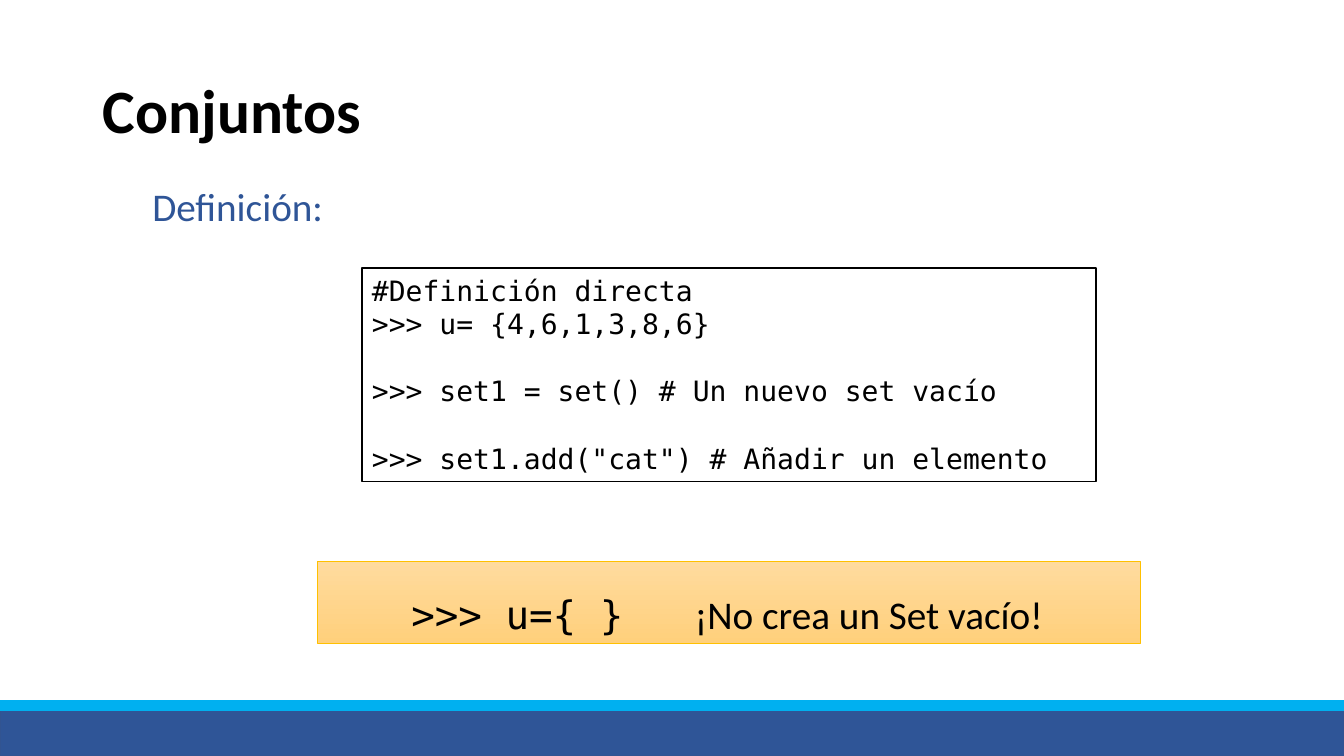
from lxml import etree
from pptx import Presentation
from pptx import util as u
from pptx.dml import color
from pptx.enum import shapes, text
from pptx.oxml import ns

BODY_FONT, CODE_FONT = "Calibri", "DejaVu Sans Mono"
BLACK, WHITE, BLUE, CYAN = "000000", "FFFFFF", "2F5597", "00B0F0"


def rgb(hex_code):
    return color.RGBColor.from_string(hex_code)


def write(paragraph, content, size=20, font=BODY_FONT, ink=BLACK, bold=False):
    """Add one formatted run to a paragraph."""
    run = paragraph.add_run()
    run.text = content
    run.font.size, run.font.name, run.font.bold = u.Pt(size), font, bold
    run.font.color.rgb = rgb(ink)


class SlideBuilder:
    def __init__(self, slide):
        self.slide = slide

    def place(self, shape, box):
        shape.left, shape.top, shape.width, shape.height = map(u.Inches, box)

    def title(self, content, box):
        title = self.slide.shapes.title
        self.place(title, box)
        title.text_frame.vertical_anchor = text.MSO_ANCHOR.MIDDLE
        title.text_frame.auto_size = text.MSO_AUTO_SIZE.NONE
        heading = title.text_frame.paragraphs[0]
        heading.alignment = text.PP_ALIGN.LEFT
        heading.line_spacing = 0.9
        write(heading, content, size=44, bold=True)

    def body(self, content, box):
        body = self.slide.placeholders[1]
        self.place(body, box)
        body.text_frame.auto_size = text.MSO_AUTO_SIZE.NONE
        subtitle = body.text_frame.paragraphs[0]
        properties = subtitle._p.get_or_add_pPr()
        properties.set("marL", str(u.Inches(0.09)))
        properties.set("indent", "0")
        etree.SubElement(properties, ns.qn("a:buNone"))
        subtitle.line_spacing = 0.9
        subtitle.space_before = u.Pt(0)
        write(subtitle, content, size=28, ink=BLUE)

    def rectangle(self, box, fill, line, weight=1.0):
        """Draw a rectangle; a pair of fill colours makes a vertical gradient."""
        rect = self.slide.shapes.add_shape(
            shapes.MSO_SHAPE.RECTANGLE, *map(u.Inches, box))
        rect.shadow.inherit = False
        if isinstance(fill, str):
            rect.fill.solid()
            rect.fill.fore_color.rgb = rgb(fill)
        else:
            rect.fill.gradient()
            rect.fill.gradient_angle = 270
            for stop, shade in zip(rect.fill.gradient_stops, fill):
                stop.color.rgb = rgb(shade)
        rect.line.color.rgb = rgb(line)
        rect.line.width = u.Pt(weight)
        return rect

    def frame(self, rect):
        frame = rect.text_frame
        frame.word_wrap = True
        frame.auto_size = text.MSO_AUTO_SIZE.SHAPE_TO_FIT_TEXT
        frame.vertical_anchor = text.MSO_ANCHOR.TOP
        frame.paragraphs[0].alignment = text.PP_ALIGN.LEFT
        return frame

    def code(self, blocks, box):
        """Blocks of code lines, set one line apart."""
        frame = self.frame(self.rectangle(box, WHITE, BLACK))
        paragraph = frame.paragraphs[0]
        for block_number, block in enumerate(blocks):
            for line_number, line in enumerate(block):
                if block_number or line_number:
                    paragraph = frame.add_paragraph()
                    paragraph.alignment = text.PP_ALIGN.LEFT
                    paragraph.space_before = u.Pt(0 if line_number else 24)
                write(paragraph, line, font=CODE_FONT)

    def warning(self, statement, remark, box):
        frame = self.frame(self.rectangle(box, ("FFDB9E", "FFD07C"), "FFC000", 0.5))
        frame.margin_left = u.Inches(0.93)
        paragraph = frame.paragraphs[0]
        tabs = etree.SubElement(paragraph._p.get_or_add_pPr(), ns.qn("a:tabLst"))
        etree.SubElement(tabs, ns.qn("a:tab"), pos=str(u.Inches(2.81)), algn="l")
        paragraph.line_spacing = 1.5
        write(paragraph, statement + "\t", size=28, font=CODE_FONT)
        write(paragraph, remark, size=28)


def main():
    deck = Presentation()
    deck.slide_width, deck.slide_height = u.Inches(13.33), u.Inches(7.5)
    builder = SlideBuilder(deck.slides.add_slide(deck.slide_layouts[1]))

    # Footer bands
    builder.rectangle((0, 7.03, 13.33, 0.47), BLUE, "325491")
    builder.rectangle((0, 6.95, 13.33, 0.1), CYAN, CYAN)

    # Headings
    builder.title("Conjuntos", (0.92, 0.4, 11.5, 1.45))
    builder.body("Definición:", (1.32, 1.81, 10.4, 0.68))

    # Code example
    builder.code([
        ["#Definición directa", ">>> u= {4,6,1,3,8,6}"],
        [">>> set1 = set() # Un nuevo set vacío"],
        ['>>> set1.add("cat") # Añadir un elemento'],
    ], (3.59, 2.66, 7.28, 2.12))

    # Warning
    builder.warning(">>> u={ }", "¡No crea un Set vacío!", (3.15, 5.57, 8.16, 0.81))

    deck.save("out.pptx")


if __name__ == "__main__":
    main()
